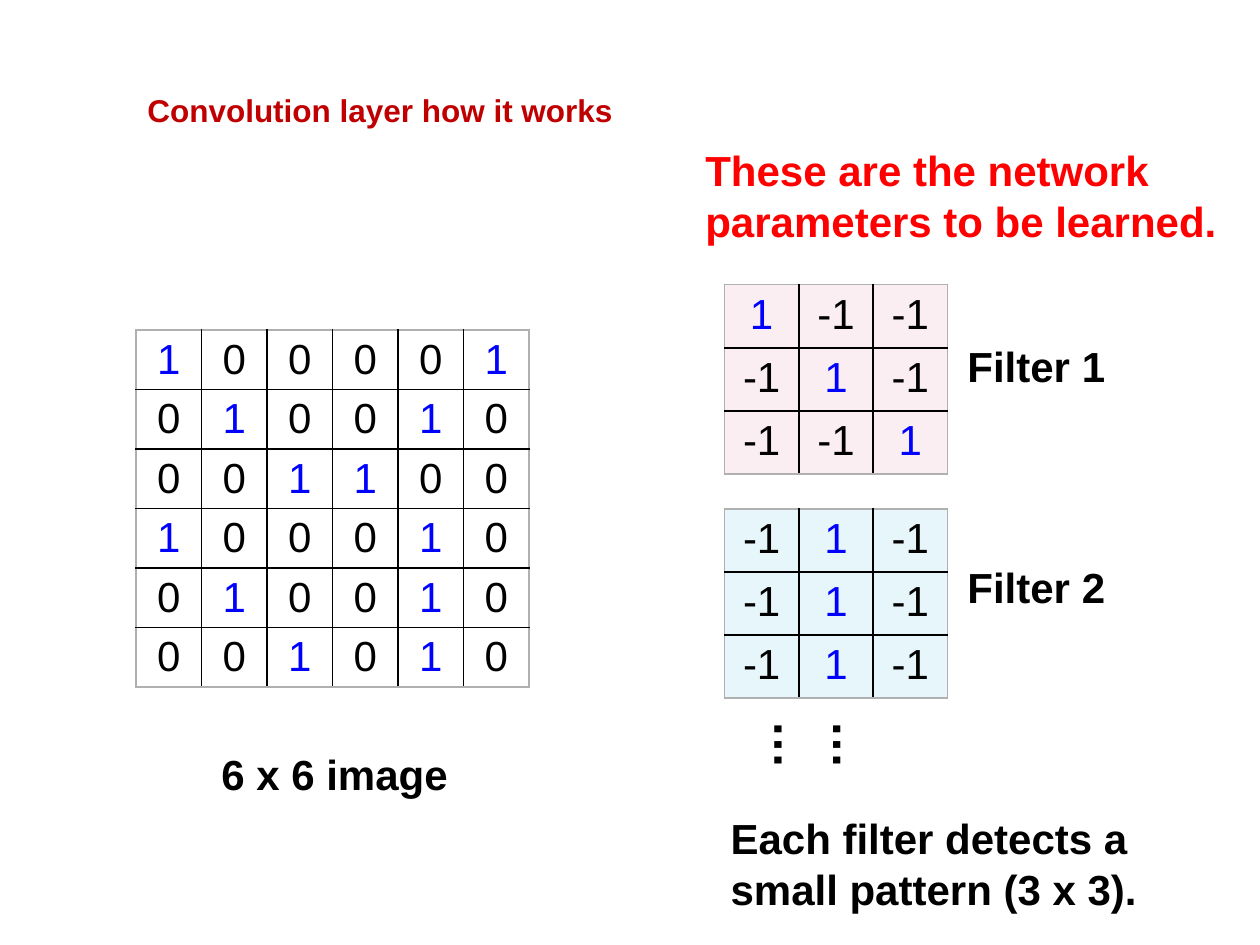
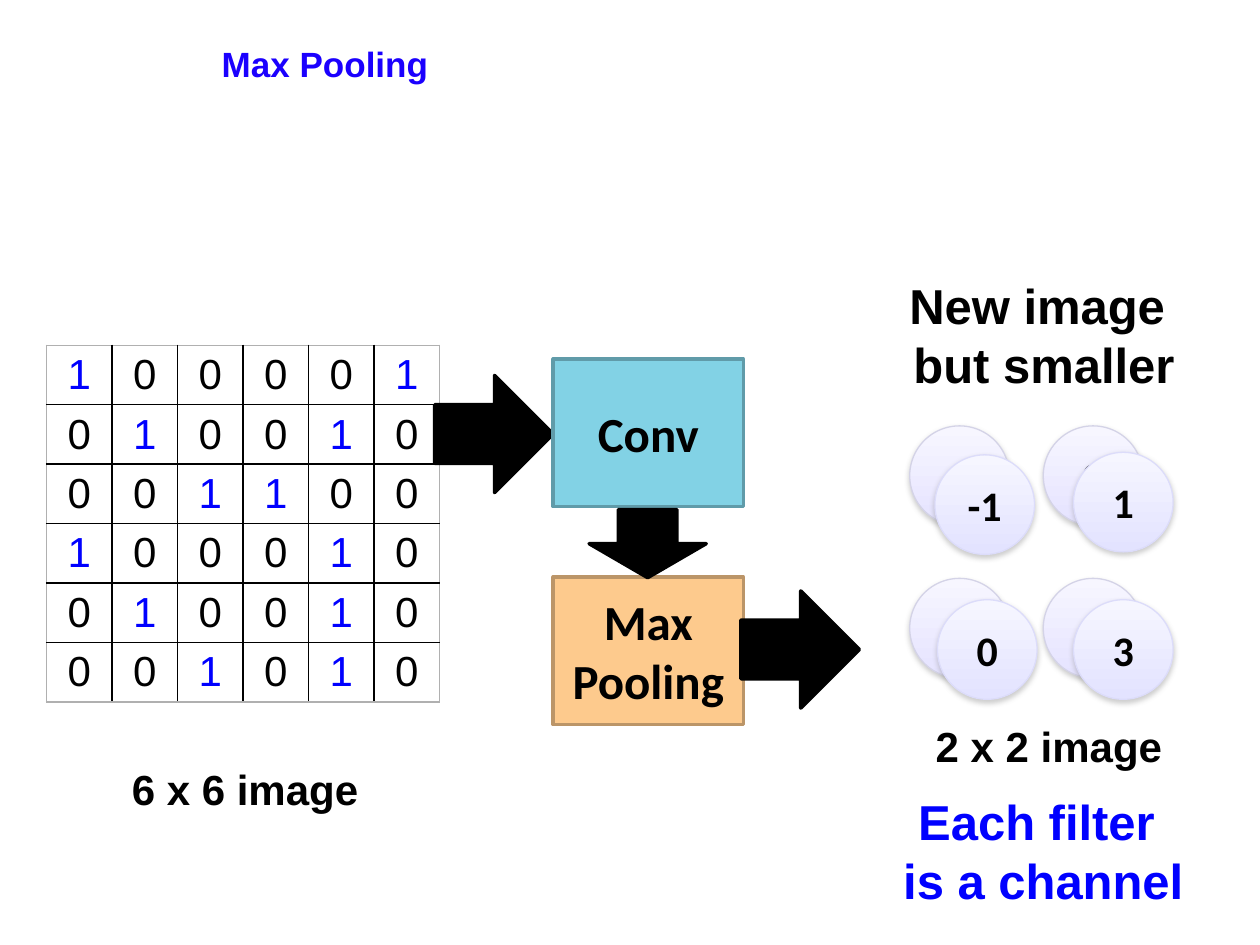
import pptx
import pptx.util
import pptx.dml.color
import pptx.enum.shapes
import pptx.enum.text
import pptx.oxml
import pptx.oxml.ns
from lxml import etree

Inches = pptx.util.Inches
Pt = pptx.util.Pt
ALIGN = pptx.enum.text.PP_ALIGN
ANCHOR = pptx.enum.text.MSO_ANCHOR
SHAPE = pptx.enum.shapes.MSO_SHAPE
qn = pptx.oxml.ns.qn

BLACK, BLUE, RED, GREY = "000000", "0000FF", "FF0000", "B0B0B0"
PINK, PALE_BLUE = "FAEEF2", "E6F6FA"
CELL_WIDTH, CELL_HEIGHT = 0.52, 0.47
FILTER_WIDTH, FILTER_HEIGHT = 0.59, 0.5

IMAGE = [
    [1, 0, 0, 0, 0, 1],
    [0, 1, 0, 0, 1, 0],
    [0, 0, 1, 1, 0, 0],
    [1, 0, 0, 0, 1, 0],
    [0, 1, 0, 0, 1, 0],
    [0, 0, 1, 0, 1, 0],
]
FILTERS = [
    ("Filter 1", [[1, -1, -1], [-1, 1, -1], [-1, -1, 1]], PINK, 2.26, 0.39),
    ("Filter 2", [[-1, 1, -1]] * 3, PALE_BLUE, 4.04, 0.37),
]


def rgb(value):
    return pptx.dml.color.RGBColor.from_string(value)


def write(tf, text, size, color, font="Arial", align=ALIGN.LEFT, bold=True):
    tf.text = text
    for p in tf.paragraphs:
        p.alignment = align
        for r in p.runs:
            r.font.name = font
            r.font.size = Pt(size)
            r.font.bold = bold
            r.font.color.rgb = rgb(color)


def add_title(slide, text, left, top, width, height, size, color):
    sp = slide.shapes.title
    sp.left, sp.top, sp.width, sp.height = map(Inches, (left, top, width, height))
    tf = sp.text_frame
    tf.auto_size = pptx.enum.text.MSO_AUTO_SIZE.NONE
    tf.word_wrap = True
    tf.vertical_anchor = ANCHOR.TOP
    write(tf, text, size, color)


def add_text(slide, text, left, top, width, height, size=24, color=BLACK,
             align=ALIGN.LEFT):
    sp = slide.shapes.add_textbox(*map(Inches, (left, top, width, height)))
    sp.text_frame.word_wrap = True
    write(sp.text_frame, text, size, color, align=align)
    return sp


def set_border(cell, side, color):
    ln = etree.SubElement(cell._tc.get_or_add_tcPr(), qn("a:" + side), w=str(Pt(1)))
    fill = etree.SubElement(ln, qn("a:solidFill"))
    etree.SubElement(fill, qn("a:srgbClr"), val=color)


def add_matrix(slide, values, left, top, cell_width, cell_height, fill=None):
    rows, cols = len(values), len(values[0])
    table = slide.shapes.add_table(
        rows, cols, Inches(left), Inches(top),
        Inches(cols * cell_width), Inches(rows * cell_height)).table
    table.first_row = table.horz_banding = False
    for column in table.columns:
        column.width = Inches(cell_width)
    for i, row in enumerate(values):
        table.rows[i].height = Inches(cell_height)
        for j, value in enumerate(row):
            cell = table.cell(i, j)
            edges = {"lnL": j == 0, "lnR": j == cols - 1,
                     "lnT": i == 0, "lnB": i == rows - 1}
            for side, outer in edges.items():
                set_border(cell, side, GREY if outer else BLACK)
            if fill:
                cell.fill.solid()
                cell.fill.fore_color.rgb = rgb(fill)
            else:
                cell.fill.background()
            write(cell.text_frame, str(value), 24, BLUE if value == 1 else BLACK,
                  align=ALIGN.CENTER, bold=False)


def add_input_image(slide, left, top):
    add_matrix(slide, IMAGE, left, top, CELL_WIDTH, CELL_HEIGHT)
    add_text(slide, "6 x 6 image", left + 0.29, top + 3.27, 2.57, 0.5,
             align=ALIGN.CENTER)


def add_filter(slide, name, values, fill, left, top, label_drop):
    add_matrix(slide, values, left, top, FILTER_WIDTH, FILTER_HEIGHT, fill)
    add_text(slide, name, left + 1.83, top + label_drop, 1.58, 0.51)


def add_block(slide, kind, left, top, width, height, fill, line, text="", rotation=0):
    sp = slide.shapes.add_shape(kind, *map(Inches, (left, top, width, height)))
    sp.shadow.inherit = False
    sp.rotation = rotation
    sp.fill.solid()
    sp.fill.fore_color.rgb = rgb(fill)
    sp.line.color.rgb = rgb(line)
    sp.line.width = Pt(2)
    if text:
        sp.text_frame.vertical_anchor = ANCHOR.MIDDLE
        write(sp.text_frame, text, 28, BLACK, "Calibri", ALIGN.CENTER)


def add_arrow(slide, left, top, width, height, rotation=0):
    add_block(slide, SHAPE.RIGHT_ARROW, left, top, width, height, BLACK, BLACK,
              rotation=rotation)


def add_soft_shadow(sp):
    sp.shadow.inherit = False
    effects = sp._element.spPr.find(qn("a:effectLst"))
    shadow = etree.SubElement(effects, qn("a:outerShdw"), blurRad=str(Pt(3.1)),
                              dist=str(Pt(1.6)), dir="5400000", rotWithShape="0")
    color = etree.SubElement(shadow, qn("a:srgbClr"), val="808080")
    etree.SubElement(color, qn("a:alpha"), val="38000")


def add_disc(slide, text, left, top, light, dark, line):
    sp = slide.shapes.add_shape(SHAPE.OVAL, Inches(left), Inches(top),
                                Inches(0.79), Inches(0.79))
    sp.fill.gradient()
    sp.fill.gradient_angle = 270
    for stop, color in zip(sp.fill.gradient_stops, (light, dark)):
        stop.color.rgb = rgb(color)
    sp.line.color.rgb = rgb(line)
    sp.line.width = Pt(0.75)
    add_soft_shadow(sp)
    if text:
        sp.text_frame.vertical_anchor = ANCHOR.MIDDLE
        write(sp.text_frame, text, 24, BLACK, "Calibri", ALIGN.CENTER)


def add_pipeline(slide, left, top):
    add_arrow(slide, left, top + 0.13, 0.94, 0.93)
    add_block(slide, SHAPE.RECTANGLE, left + 0.94, top, 1.51, 1.17,
              "82D2E5", "609BA9", "Conv")
    add_block(slide, SHAPE.RECTANGLE, left + 0.94, top + 1.73, 1.51, 1.17,
              "FDCA8D", "BB9568", "Max\nPooling")
    add_arrow(slide, left + 2.43, top + 1.84, 0.94, 0.93)
    add_arrow(slide, left + 1.42, top + 1, 0.54, 0.93, 90)


def add_channels(slide, left, top):
    back = [("3", 0.18, 1.24), ("0", 1.24, 1.24), ("", 1.24, 2.45), ("", 0.18, 2.45)]
    front = [("-1", 0.38, 1.47), ("1", 1.48, 1.45), ("3", 1.48, 2.62), ("0", 0.4, 2.62)]
    for discs, colors in ((back, ("F7F6FF", "E5E3FF", "D4D3E7")),
                          (front, ("F6F6FF", "E3E3FF", "DCDCFA"))):
        for text, dx, dy in discs:
            add_disc(slide, text, left + dx, top + dy, *colors)
    add_text(slide, "New image \nbut smaller", left, top, 2.49, 1.04, 28,
             align=ALIGN.CENTER)
    add_text(slide, "2 x 2 image", left, top + 3.53, 2.57, 0.51, align=ALIGN.CENTER)
    add_text(slide, "Each filter \nis a channel", left, top + 4.09, 2.48, 1.05, 28,
             BLUE, ALIGN.CENTER)


def build_convolution(slide):
    add_title(slide, "Convolution layer how it works", 1.07, 0.67, 4, 0.4, 18, "C00000")
    add_input_image(slide, 1.08, 2.62)
    for name, values, fill, top, label_drop in FILTERS:
        add_filter(slide, name, values, fill, 5.75, top, label_drop)
    add_text(slide, "……", 6.38, 5.72, 0.77, 0.57, 28).rotation = 90
    add_text(slide, "These are the network parameters to be learned.",
             5.5, 1.1, 4.33, 0.91, color=RED)
    add_text(slide, "Each filter detects a small pattern (3 x 3).", 5.7, 6.4, 3.89, 0.91)


def build_max_pooling(slide):
    add_title(slide, "Max Pooling", 1.66, 0.29, 2, 0.44, 20, "1B00FE")
    add_input_image(slide, 0.37, 2.74)
    add_pipeline(slide, 3.45, 2.85)
    add_channels(slide, 7.04, 2.14)


def main():
    prs = pptx.Presentation()
    prs.slide_width, prs.slide_height = Inches(10), Inches(7.5)
    for build in (build_convolution, build_max_pooling):
        build(prs.slides.add_slide(prs.slide_layouts[5]))
    prs.save("out.pptx")


if __name__ == "__main__":
    main()
